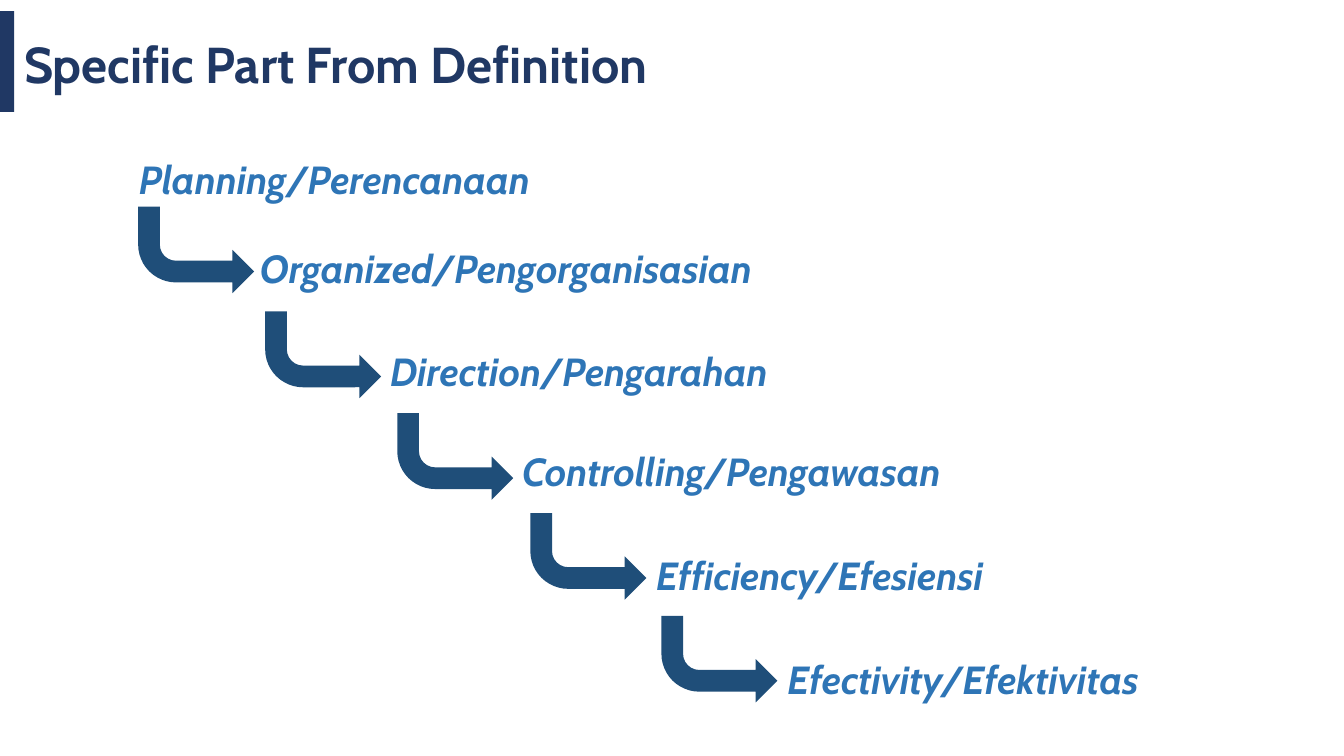
from pptx import Presentation
from pptx.dml.color import RGBColor
from pptx.enum.shapes import MSO_SHAPE
from pptx.enum.text import MSO_ANCHOR
from pptx.util import Inches, Pt

RECTANGLE, BENT_ARROW = MSO_SHAPE.RECTANGLE, MSO_SHAPE.BENT_ARROW
TOP, BOTTOM = MSO_ANCHOR.TOP, MSO_ANCHOR.BOTTOM
NAVY = RGBColor(0x20, 0x38, 0x64)
STEP_BLUE = RGBColor(0x2E, 0x75, 0xB6)
ARROW_BLUE = RGBColor(0x1F, 0x4E, 0x79)
FONT = "Cabin"
LABEL_HEIGHT = 0.77
ARROW_WIDTH, ARROW_HEIGHT = 1.15, 0.86

STEPS = [
    ("Planning/Perencanaan", 1.28, 1.54, 4.14),
    ("Organized/Pengorganisasian", 2.48, 2.43, 5.09),
    ("Direction/Pengarahan", 3.77, 3.45, 5.09),
    ("Controlling/Pengawasan", 5.08, 4.44, 5.09),
    ("Efficiency/Efesiensi", 6.41, 5.47, 5.09),
    ("Efectivity/Efektivitas", 7.71, 6.5, 5.09),
]
ARROWS = [(1.37, 2.05), (2.63, 3.09), (3.94, 4.1), (5.26, 5.09), (6.56, 6.11)]


def add_text(page, text, left, top, width, height, *, size, color, italic=None, anchor=TOP):
    """Add a bold single-paragraph text box."""
    box = page.shapes.add_textbox(Inches(left), Inches(top), Inches(width), Inches(height))
    frame = box.text_frame
    frame.word_wrap = True
    frame.vertical_anchor = anchor
    para = frame.paragraphs[0]
    para.line_spacing = 0.9
    para.space_after = Pt(6)
    span = para.add_run()
    span.text = text
    span.font.name = FONT
    span.font.size = Pt(size)
    span.font.bold = True
    span.font.italic = italic
    span.font.color.rgb = color


def add_solid(page, kind, left, top, width, height, color):
    """Add a filled preset shape without outline or shadow."""
    shape = page.shapes.add_shape(kind, Inches(left), Inches(top), Inches(width), Inches(height))
    shape.shadow.inherit = False
    shape.fill.solid()
    shape.fill.fore_color.rgb = color
    shape.line.fill.background()
    return shape


def add_header(page, left, top, text):
    """Place the accent bar and the title beside it."""
    bar_width = 0.14
    add_solid(page, RECTANGLE, left, top, bar_width, 1, NAVY)
    add_text(page, text, left + bar_width, top + 0.11, 9.72, LABEL_HEIGHT,
             size=36, color=NAVY, anchor=BOTTOM)


def add_staircase(page, left, top):
    """Place the step labels and the bent arrows that lead down through them."""
    _, first_left, first_top, _ = STEPS[0]
    shift_x, shift_y = left - first_left, top - first_top
    for label, step_left, step_top, width in STEPS:
        add_text(page, label, step_left + shift_x, step_top + shift_y, width, LABEL_HEIGHT,
                 size=28, color=STEP_BLUE, italic=True)
    for arrow_left, arrow_top in ARROWS:
        arrow = add_solid(page, BENT_ARROW, arrow_left + shift_x, arrow_top + shift_y,
                          ARROW_WIDTH, ARROW_HEIGHT, ARROW_BLUE)
        arrow.element.spPr.get_or_add_xfrm().set("flipV", "1")


def main():
    """Build and save the deck."""
    deck = Presentation()
    deck.slide_width, deck.slide_height = Inches(13.33), Inches(7.5)
    page = deck.slides.add_slide(deck.slide_layouts[6])
    add_header(page, 0, 0.11, "Specific Part From Definition")
    add_staircase(page, 1.28, 1.54)
    deck.save("out.pptx")


if __name__ == "__main__":
    main()
